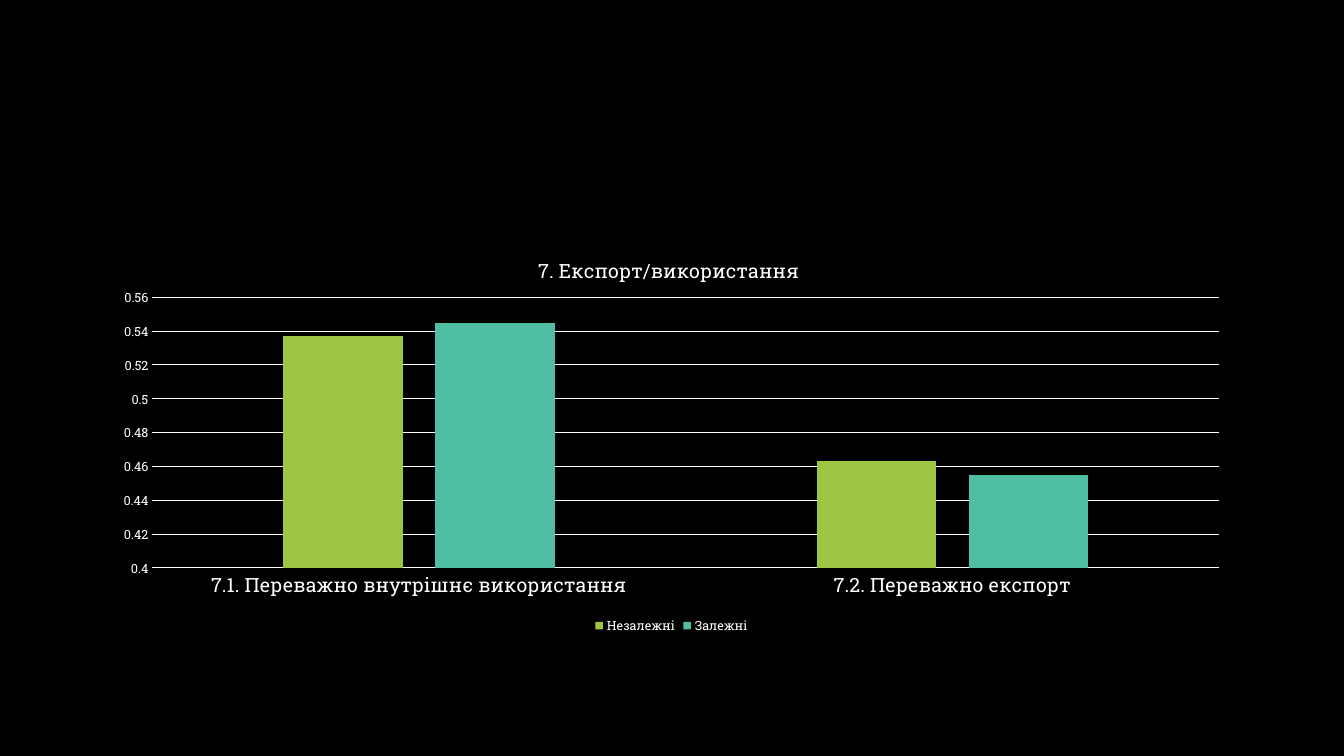
import pptx
import pptx.chart.data
import pptx.dml.color
import pptx.enum.chart
import pptx.oxml
import pptx.oxml.ns
import pptx.util

PX = 9144000 / 1008
FONT = "Roboto Slab"
BLACK = pptx.dml.color.RGBColor(0x00, 0x00, 0x00)
WHITE = pptx.dml.color.RGBColor(0xFF, 0xFF, 0xFF)
GREEN = pptx.dml.color.RGBColor(0x9E, 0xC5, 0x44)
TEAL = pptx.dml.color.RGBColor(0x50, 0xBE, 0xA3)

TITLE = "7. Експорт/використання"
CATEGORIES = ["7.1. Переважно внутрішнє використання", "7.2. Переважно експорт"]
SERIES = [
    ("Незалежні", (0.537, 0.463), GREEN),
    ("Залежні", (0.545, 0.455), TEAL),
]


def px(length):
    return pptx.util.Emu(round(length * PX))


def style_font(font, size):
    font.name = FONT
    font.size = pptx.util.Pt(size)
    font.bold = False
    font.color.rgb = WHITE


def style_line(line):
    line.color.rgb = WHITE
    line.width = pptx.util.Pt(0.75)


def place_part(part, target, **fractions):
    """Fix a chart part's position as fractions of the chart box."""
    layout = part.find(pptx.oxml.ns.qn("c:layout"))
    if layout is not None:
        part.remove(layout)
    inner = '<c:layoutTarget val="inner"/>' if target == "inner" else ""
    modes = '<c:xMode val="edge"/><c:yMode val="edge"/>'
    values = "".join(f'<c:{key} val="{value}"/>' for key, value in fractions.items())
    layout = pptx.oxml.parse_xml(
        f'<c:layout {pptx.oxml.ns.nsdecls("c")}><c:manualLayout>'
        f"{inner}{modes}{values}</c:manualLayout></c:layout>"
    )
    text = part.find(pptx.oxml.ns.qn("c:tx"))
    part.insert(0 if text is None else 1, layout)


def style_title(chart):
    chart.has_title = True
    title = chart.chart_title
    para = title.text_frame.paragraphs[0]
    para.text = TITLE
    style_font(para.font, 14)
    title.include_in_layout = False
    place_part(title._element, "outer", x=0.38, y=0.05)


def style_axes(chart):
    for axis, size in ((chart.category_axis, 14), (chart.value_axis, 9)):
        axis.major_tick_mark = pptx.enum.chart.XL_TICK_MARK.NONE
        axis.minor_tick_mark = pptx.enum.chart.XL_TICK_MARK.NONE
        style_font(axis.tick_labels.font, size)
    style_line(chart.category_axis.format.line)

    values = chart.value_axis
    values.minimum_scale, values.maximum_scale = 0.4, 0.56
    values.major_unit = 0.02
    values.format.line.fill.background()
    values.has_major_gridlines = True
    style_line(values.major_gridlines.format.line)


def style_legend(chart):
    chart.has_legend = True
    chart.legend.position = pptx.enum.chart.XL_LEGEND_POSITION.BOTTOM
    chart.legend.include_in_layout = False
    style_font(chart.legend.font, 9)


def add_usage_chart(page, left, top, width, height):
    data = pptx.chart.data.CategoryChartData(number_format="General")
    data.categories = CATEGORIES
    for name, values, _ in SERIES:
        data.add_series(name, values)
    chart = page.shapes.add_chart(
        pptx.enum.chart.XL_CHART_TYPE.COLUMN_CLUSTERED,
        px(left), px(top), px(width), px(height), data,
    ).chart
    style_font(chart.font, 10)

    plot = chart.plots[0]
    plot.gap_width = 219
    plot.overlap = -27
    plot.vary_by_categories = False
    for series, (_, _, color) in zip(plot.series, SERIES):
        series.format.fill.solid()
        series.format.fill.fore_color.rgb = color
        series.format.line.fill.background()

    style_title(chart)
    style_axes(chart)
    style_legend(chart)
    plot_area = chart._chartSpace.chart.plotArea
    place_part(plot_area, "inner", x=0.045, y=0.163, w=0.935, h=0.665)


def main():
    deck = pptx.Presentation()
    deck.slide_width, deck.slide_height = px(1344), px(756)
    page = deck.slides.add_slide(deck.slide_layouts[6])
    page.background.fill.solid()
    page.background.fill.fore_color.rgb = BLACK
    add_usage_chart(page, 101, 231, 1141, 407)
    deck.save("out.pptx")


if __name__ == "__main__":
    main()
